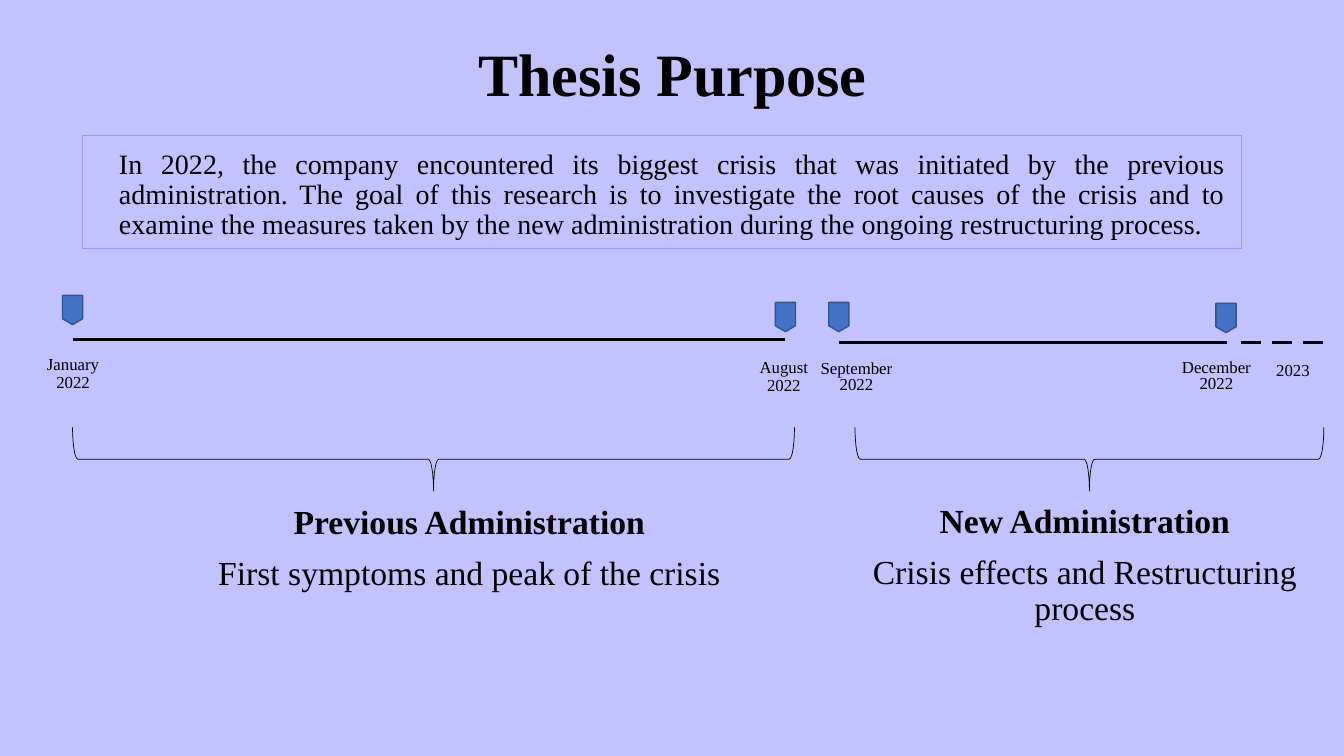
import pptx
import pptx.dml.color
import pptx.enum.shapes
import pptx.enum.text
import pptx.oxml.ns
import pptx.util
from lxml import etree

Inches, Pt = pptx.util.Inches, pptx.util.Pt
SHAPE = pptx.enum.shapes.MSO_SHAPE
ALIGN = pptx.enum.text.PP_ALIGN
qn = pptx.oxml.ns.qn

FONT = "Times New Roman"
COLORS = {"background": "C2C2FF", "frame": "9999FF", "ink": "000000",
          "marker": "4472C4", "marker_edge": "325491"}

TITLE = "Thesis Purpose"
PURPOSE = ("In 2022, the company encountered its biggest crisis that was initiated by the "
           "previous administration. The goal of this research is to investigate the root "
           "causes of the crisis and to examine the measures taken by the new administration "
           "during the ongoing restructuring process.")
# text, left, top, width, height, line spacing
DATES = [
    ("January 2022", 0.19, 3.48, 1.07, 0.48, 0.9),
    ("August 2022", 7.31, 3.51, 0.93, 0.48, 0.9),
    ("September 2022", 8.03, 3.54, 0.93, 0.45, 0.8),
    ("December 2022", 11.6, 3.53, 0.93, 0.45, 0.8),
    ("2023", 12.36, 3.54, 0.93, 0.33, 0.9),
]
# centre, top
MARKERS = [(0.72, 2.93), (7.79, 3), (8.32, 3), (12.16, 3.01)]
MARKER_WIDTH, MARKER_HEIGHT = 0.2, 0.29
# start, end, height on the page
PERIOD_LINES = [(0.72, 7.79, 3.37), (8.32, 12.17, 3.4)]
DASH_START, DASH_STEP, DASH_LENGTH, DASH_COUNT = 12.31, 0.305, 0.2, 3
# start, end
BRACES = [(0.72, 7.88), (8.48, 13.13)]
BRACE_TOP, BRACE_DEPTH = 4.24, 0.63
# heading, explanation, left, top, width, height
PERIODS = [
    ("Previous Administration", "First symptoms and peak of the crisis", 1.97, 4.97, 5.37, 0.99),
    ("New Administration", "Crisis effects and Restructuring process", 8.51, 4.96, 4.5, 1.35),
]


def color(name):
    return pptx.dml.color.RGBColor.from_string(COLORS[name])


def place(shape, left, top, width, height):
    shape.left, shape.top = Inches(left), Inches(top)
    shape.width, shape.height = Inches(width), Inches(height)


def style(para, size, bold=False, align=ALIGN.CENTER, spacing=0.9, before=0):
    para.alignment, para.line_spacing, para.space_before = align, spacing, Pt(before)
    para.font.name, para.font.size, para.font.bold = FONT, Pt(size), bold
    para.font.color.rgb = color("ink")


def add_text(page, left, top, width, height):
    frame = page.shapes.add_textbox(*map(Inches, (left, top, width, height))).text_frame
    frame.word_wrap = True
    return frame


def add_shape(page, kind, left, top, width, height, edge, weight, fill=None):
    shape = page.shapes.add_shape(kind, *map(Inches, (left, top, width, height)))
    shape.shadow.inherit = False
    if fill:
        shape.fill.solid()
        shape.fill.fore_color.rgb = color(fill)
    else:
        shape.fill.background()
    shape.line.color.rgb = color(edge)
    shape.line.width = Pt(weight)
    return shape


def add_line(page, start, end, height):
    line = page.shapes.add_connector(pptx.enum.shapes.MSO_CONNECTOR.STRAIGHT,
                                     *map(Inches, (start, height, end, height)))
    line.line.color.rgb = color("ink")
    line.line.width = Pt(2)
    etree.SubElement(line._element.spPr, qn("a:effectLst"))


def fill_placeholders(page):
    title, body = page.shapes.title, page.placeholders[1]
    place(title, 1.17, 0.39, 11, 0.75)
    place(body, 1.08, 1.44, 11.17, 1)
    for shape, text in ((title, TITLE), (body, PURPOSE)):
        shape.text_frame.text = text
        shape.text_frame.auto_size = pptx.enum.text.MSO_AUTO_SIZE.NONE
    title.text_frame.vertical_anchor = pptx.enum.text.MSO_ANCHOR.MIDDLE
    style(title.text_frame.paragraphs[0], 42.9, bold=True)
    para = body.text_frame.paragraphs[0]
    properties = para._p.get_or_add_pPr()
    properties.set("marL", "0")
    properties.set("indent", "0")
    etree.SubElement(properties, qn("a:buNone"))
    style(para, 20, align=ALIGN.JUSTIFY)


def draw_timeline(page):
    for start, end, height in PERIOD_LINES:
        add_line(page, start, end, height)
    for index in range(DASH_COUNT):
        start = DASH_START + index * DASH_STEP
        add_line(page, start, start + DASH_LENGTH, PERIOD_LINES[1][2])
    for centre, top in MARKERS:
        add_shape(page, SHAPE.FLOWCHART_OFFPAGE_CONNECTOR, centre - MARKER_WIDTH / 2, top,
                  MARKER_WIDTH, MARKER_HEIGHT, "marker_edge", 1, "marker")
    for text, left, top, width, height, spacing in DATES:
        frame = add_text(page, left, top, width, height)
        frame.text = text
        style(frame.paragraphs[0], 12, spacing=spacing)


def draw_periods(page):
    for start, end in BRACES:
        length = end - start
        # A quarter turn keeps the centre, so the upright brace is placed around it.
        brace = add_shape(page, SHAPE.LEFT_BRACE, (start + end - BRACE_DEPTH) / 2,
                          BRACE_TOP + (BRACE_DEPTH - length) / 2, BRACE_DEPTH, length, "ink", 0.5)
        brace.rotation = 270
    for heading, explanation, *area in PERIODS:
        frame = add_text(page, *area)
        frame.text = heading
        style(frame.paragraphs[0], 24, bold=True)
        para = frame.add_paragraph()
        para.text = explanation
        style(para, 24, before=10)


def main():
    deck = pptx.Presentation()
    deck.slide_width, deck.slide_height = Inches(13.33), Inches(7.5)
    page = deck.slides.add_slide(deck.slide_layouts[1])
    page.background.fill.solid()
    page.background.fill.fore_color.rgb = color("background")
    fill_placeholders(page)
    draw_timeline(page)
    draw_periods(page)
    add_shape(page, SHAPE.RECTANGLE, 0.82, 1.34, 11.49, 1.12, "frame", 0.5)
    deck.save("out.pptx")


if __name__ == "__main__":
    main()
